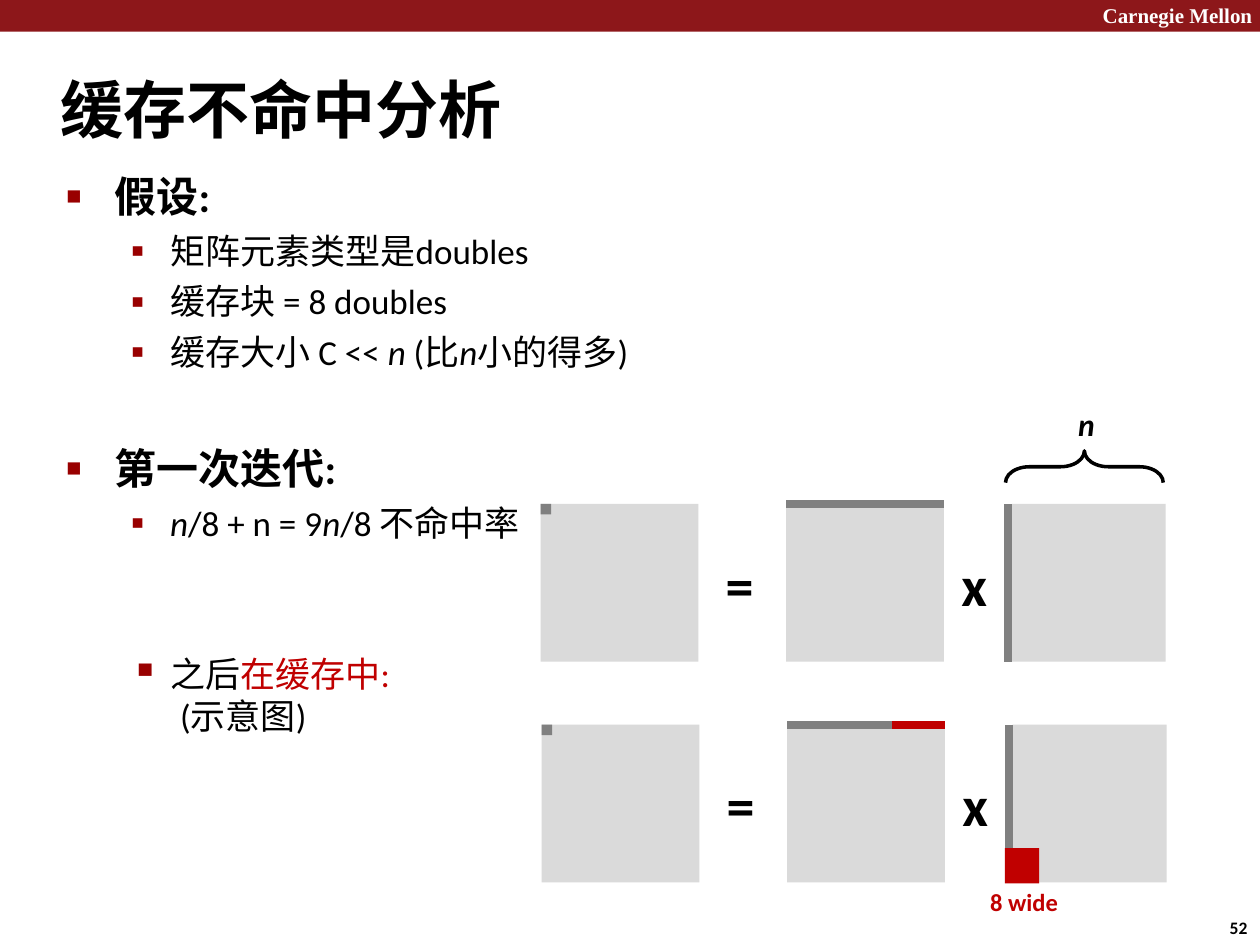
from dataclasses import dataclass
from lxml import etree
from pptx import Presentation
from pptx import util as u
from pptx.dml.color import RGBColor
from pptx.enum import shapes, text
from pptx.oxml.ns import qn

Cm, Pt = u.Cm, u.Pt


@dataclass(frozen=True)
class Theme:
    font: str = "Calibri"
    header_font: str = "Times New Roman"
    banner: str = "8D171A"
    white: str = "FFFFFF"
    ink: str = "000000"
    bullet: str = "990000"
    matrix: str = "DADADA"
    touched: str = "808080"
    cached: str = "C00000"
    title: int = 36
    sign: int = 32
    head: int = 24
    item: int = 20
    dim: int = 18
    note: int = 14
    header: int = 12
    number: int = 10


T = Theme()


def rgb(value):
    return RGBColor.from_string(value)


def add_run(p, words, size, color=T.ink, bold=False, italic=False, font=T.font):
    r = p.add_run()
    r.text = words
    f = r.font
    f.name, f.size, f.bold, f.italic = font, Pt(size), bold, italic
    f.color.rgb = rgb(color)


def set_frame(sp, wrap):
    tf = sp.text_frame
    tf.margin_left = tf.margin_right = tf.margin_top = tf.margin_bottom = 0
    tf.word_wrap = wrap
    tf.auto_size = text.MSO_AUTO_SIZE.NONE
    tf.vertical_anchor = text.MSO_ANCHOR.TOP
    return tf


def add_label(s, box, words, size, align=text.PP_ALIGN.LEFT, **style):
    tf = set_frame(s.shapes.add_textbox(*map(Cm, box)), False)
    p = tf.paragraphs[0]
    p.alignment = align
    add_run(p, words, size, **style)


def add_block(s, box, color):
    sp = s.shapes.add_shape(shapes.MSO_SHAPE.RECTANGLE, *map(Cm, box))
    sp.shadow.inherit = False
    sp.fill.solid()
    sp.fill.fore_color.rgb = rgb(color)
    sp.line.fill.background()


def add_strip(s, x1, y1, x2, y2, color):
    c = s.shapes.add_connector(shapes.MSO_CONNECTOR.STRAIGHT, *map(Cm, (x1, y1, x2, y2)))
    c.line.color.rgb = rgb(color)
    c.line.width = Pt(4.5)
    etree.SubElement(c._element.spPr, qn("a:effectLst"))


def set_bullet(p, char, percent, margin, hang):
    """Give a paragraph its indent and bullet; no char means no bullet."""
    pPr = p._p.get_or_add_pPr()
    pPr.set("marL", str(Cm(margin)))
    pPr.set("indent", str(-Cm(hang)))
    if not char:
        etree.SubElement(pPr, qn("a:buNone"))
        return
    color = etree.SubElement(pPr, qn("a:buClr"))
    etree.SubElement(color, qn("a:srgbClr")).set("val", T.bullet)
    etree.SubElement(pPr, qn("a:buSzPct")).set("val", str(percent * 1000))
    etree.SubElement(pPr, qn("a:buChar")).set("char", char)


def next_paragraph(tf, before):
    first = not tf.paragraphs[0].runs
    p = tf.paragraphs[0] if first else tf.add_paragraph()
    p.space_before = Pt(0 if first else before)
    return p


def add_heading(tf, words, before=0):
    p = next_paragraph(tf, before)
    set_bullet(p, "■", 60, 0.99, 0.97)
    add_run(p, words, T.head, bold=True)
    return p


def add_item(tf, parts, margin=2.11, level=1):
    """Add a bulleted line; each part is its words and whether they are italic."""
    p = next_paragraph(tf, 4.9)
    p.level = level
    set_bullet(p, "▪", 110, margin, 0.79)
    for words, italic in parts:
        add_run(p, words, T.item, italic=italic)


def add_header(s, width):
    add_block(s, (0, 0, width, 0.64), T.banner)
    add_label(s, (width - 3.25, 0.05, 3.1, 0.56), "Carnegie Mellon", T.header,
              text.PP_ALIGN.RIGHT, color=T.white, bold=True, font=T.header_font)


def fill_title(sp, box):
    sp.left, sp.top, sp.width, sp.height = map(Cm, box)
    p = set_frame(sp, False).paragraphs[0]
    p.alignment = text.PP_ALIGN.LEFT
    add_run(p, "缓存不命中分析", T.title, bold=True)


def fill_body(sp, box):
    sp.left, sp.top, sp.width, sp.height = map(Cm, box)
    tf = set_frame(sp, True)
    add_heading(tf, "假设:")
    add_item(tf, [("矩阵元素类型是doubles", False)])
    add_item(tf, [("缓存块 = 8 doubles", False)])
    add_item(tf, [("缓存大小 C << ", False), ("n ", True), ("(比", False),
                  ("n", True), ("小的得多)", False)])
    dim = next_paragraph(tf, 18.5)
    set_bullet(dim, None, 0, 0, 0)
    dim.alignment, dim.line_spacing = text.PP_ALIGN.RIGHT, Pt(21.6)
    add_run(dim, "n", T.dim, bold=True, italic=True)
    add_heading(tf, "第一次迭代:").line_spacing = Pt(28.8)
    add_item(tf, [("n", True), ("/8 + n = 9", False), ("n", True), ("/8 不命中率", False)])


def add_cache_note(s, box):
    tf = set_frame(s.shapes.add_textbox(*map(Cm, box)), True)
    add_item(tf, [("之后", False)], margin=0.84, level=0)
    add_run(tf.paragraphs[0], "在缓存中:", T.item, color=T.cached)
    p = next_paragraph(tf, 0)
    set_bullet(p, None, 0, 1.04, 0)
    add_run(p, "(示意图)", T.item)


def add_product(s, x, y, side=3.18, cached=False):
    """Draw C = A x B with the touched row and column marked."""
    a, b, gap = x + 4.95, x + 9.42, 0.08
    add_block(s, (x, y, side, side), T.matrix)
    add_block(s, (x, y, 0.21, 0.21), T.touched)
    add_block(s, (a, y + gap, side, side - gap), T.matrix)
    add_strip(s, a, y, a + side, y, T.touched)
    add_block(s, (b + gap, y, side - gap, side), T.matrix)
    add_strip(s, b, y, b, y + side, T.touched)
    for sign, dx in (("=", 3.73), ("x", 8.48)):
        add_label(s, (x + dx, y + 0.93, 0.62, 1.45), sign, T.sign, bold=True)
    if cached:
        add_strip(s, a + side * 2 / 3, y, a + side, y, T.cached)
        add_block(s, (b - gap, y + side - 0.69, 0.69, 0.71), T.cached)
        add_label(s, (b - 0.38, y + side + 0.1, 1.45, 0.66), "8 wide", T.note,
                  color=T.cached, bold=True)


def add_top_brace(s, x, y, width, height):
    shift = (width - height) / 2
    sp = s.shapes.add_shape(shapes.MSO_SHAPE.LEFT_BRACE, Cm(x + shift), Cm(y - shift),
                            Cm(height), Cm(width))
    sp.rotation = 90
    sp.adjustments[0] = 0.75
    sp.shadow.inherit = False
    sp.fill.background()
    sp.line.color.rgb = rgb(T.ink)
    sp.line.width = Pt(2)


def main():
    prs = Presentation()
    prs.slide_width, prs.slide_height = Cm(25.4), Cm(19.05)
    s = prs.slides.add_slide(prs.slide_layouts[1])
    add_header(s, 25.4)
    fill_title(s.shapes.title, (1.22, 1.42, 10.57, 1.52))
    fill_body(s.placeholders[1], (1.32, 3.43, 20.75, 7.59))
    add_cache_note(s, (2.59, 13.16, 6.78, 1.7))
    add_product(s, 10.9, 10.16)
    add_product(s, 10.92, 14.61, cached=True)
    add_top_brace(s, 20.27, 9.09, 3.18, 0.64)
    add_label(s, (24.79, 18.49, 0.43, 0.43), "52", T.number, bold=True)
    prs.save("out.pptx")


if __name__ == "__main__":
    main()
